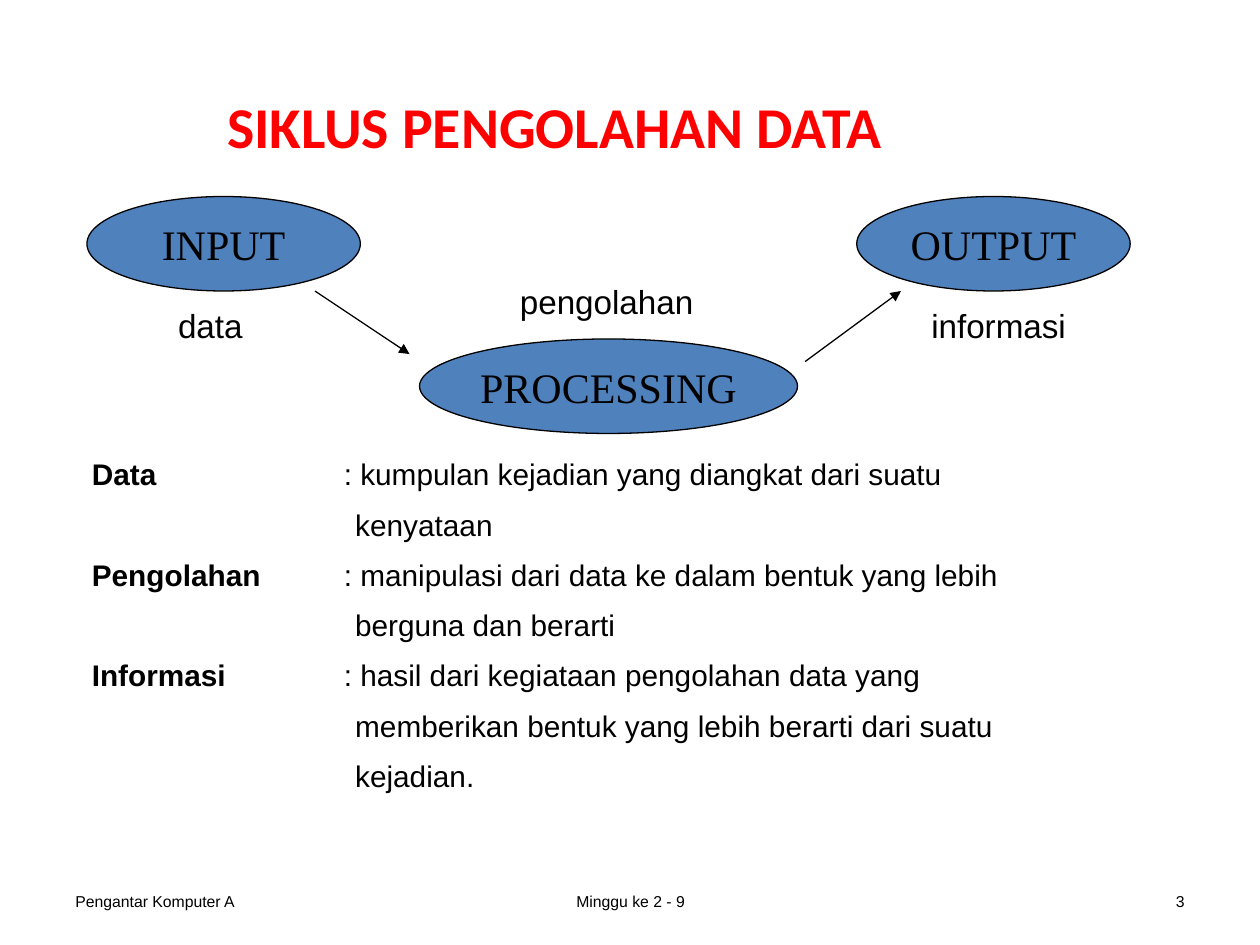
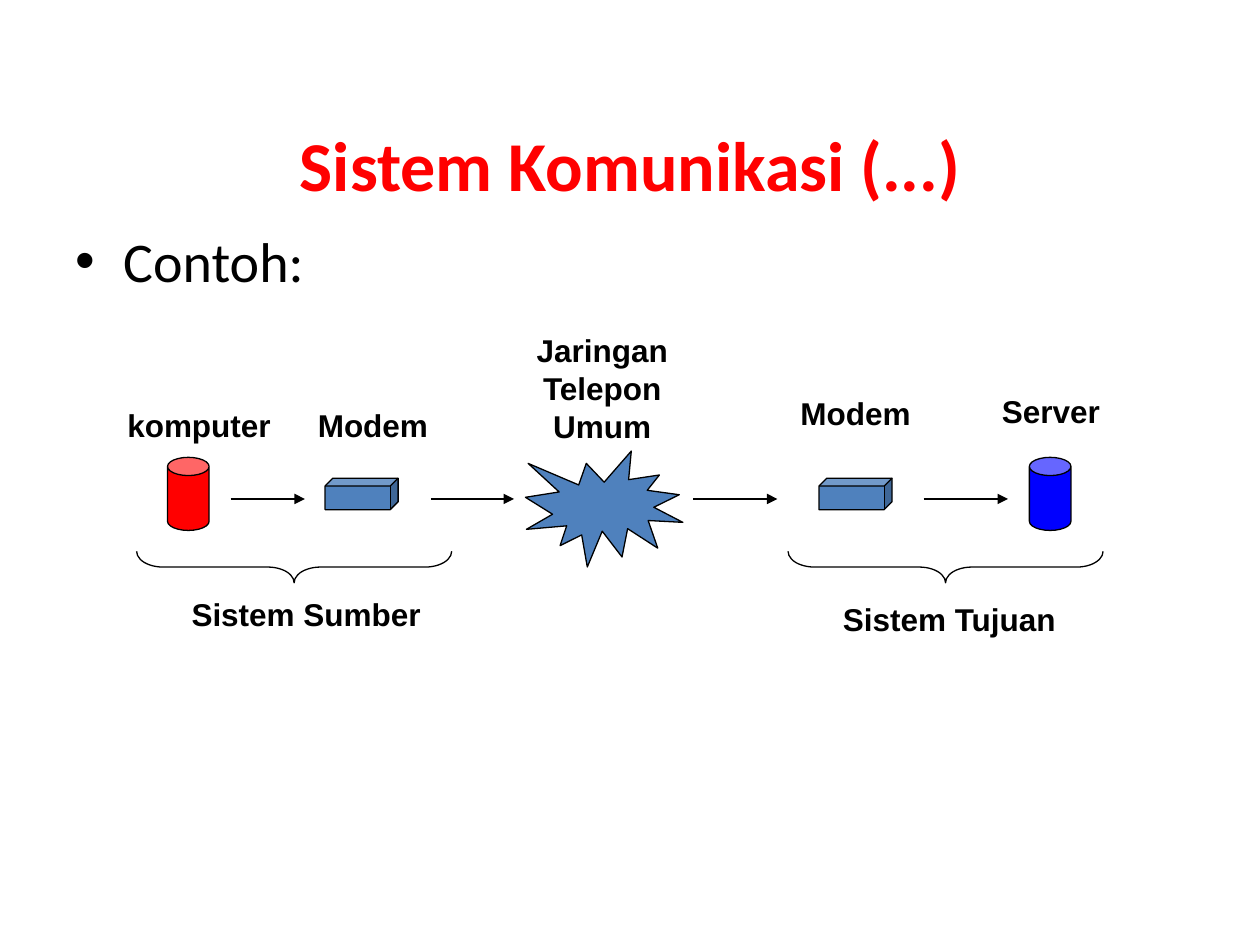
import lxml.etree
import pptx
import pptx.dml.color
import pptx.enum.shapes
import pptx.enum.text
import pptx.oxml.ns
import pptx.util

Inches = pptx.util.Inches
Pt = pptx.util.Pt
qn = pptx.oxml.ns.qn
Shape = pptx.enum.shapes.MSO_SHAPE
Align = pptx.enum.text.PP_ALIGN
Anchor = pptx.enum.text.MSO_ANCHOR

# Shared look
BLACK, RED, BLUE, STEEL = "000000", "FF0000", "0000FF", "4F81BD"
SANS, SERIF, HEADING = "Arial", "Times New Roman", "Calibri"
LINE_WIDTH = 0.75


def colour(hex_value):
    return pptx.dml.color.RGBColor.from_string(hex_value)


def add_run(paragraph, text, size, font=SANS, bold=False, ink=BLACK):
    run = paragraph.add_run()
    run.text = text
    run.font.size = Pt(size)
    run.font.name = font
    run.font.bold = bold
    run.font.color.rgb = colour(ink)


def add_label(slide, box, lines, size, align=Align.CENTER, anchor=Anchor.TOP,
              wrap=False, **style):
    """Text box with one paragraph for each line."""
    frame = slide.shapes.add_textbox(*map(Inches, box)).text_frame
    frame.word_wrap = wrap
    frame.vertical_anchor = anchor
    for index, line in enumerate(lines):
        paragraph = frame.add_paragraph() if index else frame.paragraphs[0]
        paragraph.alignment = align
        add_run(paragraph, line, size, **style)
    return frame


def add_figure(slide, kind, box, fill=None, adjustments=()):
    figure = slide.shapes.add_shape(kind, *map(Inches, box))
    figure.shadow.inherit = False
    if fill:
        figure.fill.solid()
        figure.fill.fore_color.rgb = colour(fill)
    else:
        figure.fill.background()
    figure.line.color.rgb = colour(BLACK)
    figure.line.width = Pt(LINE_WIDTH)
    for index, value in enumerate(adjustments):
        figure.adjustments[index] = value
    return figure


def add_arrow(slide, x1, y1, x2, y2):
    arrow = slide.shapes.add_connector(
        pptx.enum.shapes.MSO_CONNECTOR.STRAIGHT, *map(Inches, (x1, y1, x2, y2)))
    arrow.line.color.rgb = colour(BLACK)
    arrow.line.width = Pt(LINE_WIDTH)
    lxml.etree.SubElement(arrow.line._get_or_add_ln(), qn("a:tailEnd"), type="triangle")
    lxml.etree.SubElement(arrow._element.spPr, qn("a:effectLst"))


def add_titled_slide(deck, title, box, size):
    slide = deck.slides.add_slide(deck.slide_layouts[5])
    holder = slide.shapes.title
    holder.left, holder.top, holder.width, holder.height = map(Inches, box)
    frame = holder.text_frame
    frame.auto_size = pptx.enum.text.MSO_AUTO_SIZE.NONE
    frame.vertical_anchor = Anchor.MIDDLE
    paragraph = frame.paragraphs[0]
    paragraph.alignment = Align.CENTER
    add_run(paragraph, title, size, HEADING, True, RED)
    return slide


def add_footer(slide, course, week, number):
    for text, left, width, align in (
            (course, 0.5, 2.33, Align.LEFT),
            (week, 3.42, 3.17, Align.CENTER),
            (number, 7.17, 2.33, Align.RIGHT)):
        add_label(slide, (left, 6.95, width, 0.4), [text], 9, align,
                  Anchor.MIDDLE, wrap=True)


# Slide 1: the processing cycle and its definitions
def add_cycle(slide, left, top):
    stage_height = 0.75
    stages = (
        # stage, x, y, width, caption, caption x, caption y, caption width
        ("INPUT", 0, 0, 2.17, "data", 0.58, 0.81, 0.8),
        ("PROCESSING", 2.64, 1.13, 3, "pengolahan", 3.22, 0.62, 1.81),
        ("OUTPUT", 6.11, 0, 2.17, "informasi", 6.59, 0.81, 1.29),
    )
    for stage, x, y, width, caption, caption_x, caption_y, caption_width in stages:
        oval = add_figure(slide, Shape.OVAL, (left + x, top + y, width, stage_height), STEEL)
        oval.text_frame.word_wrap = False
        oval.text_frame.vertical_anchor = Anchor.MIDDLE
        paragraph = oval.text_frame.paragraphs[0]
        paragraph.alignment = Align.CENTER
        add_run(paragraph, stage, 24, SERIF)
        add_label(slide, (left + caption_x, top + caption_y, caption_width, 0.42),
                  [caption], 19)
    add_arrow(slide, left + 1.81, top + stage_height, left + 2.56, top + 1.25)
    add_arrow(slide, left + 5.7, top + 1.31, left + 6.46, top + stage_height)


def add_definitions(slide, box, definitions):
    colon_at, text_at = Inches(2), Inches(2.09)
    frame = slide.shapes.add_textbox(*map(Inches, box)).text_frame
    frame.word_wrap = True
    rows = [(term if index == 0 else None, line)
            for term, lines in definitions for index, line in enumerate(lines)]
    for index, (term, line) in enumerate(rows):
        paragraph = frame.add_paragraph() if index else frame.paragraphs[0]
        properties = paragraph._p.get_or_add_pPr()
        if term:
            tabs = lxml.etree.SubElement(properties, qn("a:tabLst"))
            lxml.etree.SubElement(tabs, qn("a:tab"), pos=str(colon_at), algn="l")
            add_run(paragraph, term, 17, bold=True)
            line = "\t: " + line
        else:
            properties.set("marL", str(text_at))
        if index:
            paragraph.space_before = Pt(8.3)
        add_run(paragraph, line, 17)


def build_cycle_slide(deck):
    slide = add_titled_slide(deck, "SIKLUS PENGOLAHAN DATA", (0.69, 0.37, 7.42, 1.25), 33)
    add_footer(slide, "Pengantar Komputer A", "Minggu ke 2 - 9", "3")
    add_cycle(slide, 0.69, 1.56)
    add_definitions(slide, (0.63, 3.57, 8.92, 3.38), (
        ("Data", ("kumpulan kejadian yang diangkat dari suatu", "kenyataan")),
        ("Pengolahan", ("manipulasi dari data ke dalam bentuk yang lebih",
                        "berguna dan berarti")),
        ("Informasi", ("hasil dari kegiataan pengolahan data yang",
                       "memberikan bentuk yang lebih berarti dari suatu",
                       "kejadian.")),
    ))


# Slide 2: the communication system
def add_example_bullet(slide, box):
    frame = add_label(slide, box, ["Contoh:"], 32, Align.LEFT, wrap=True, font=HEADING)
    properties = frame.paragraphs[0]._p.get_or_add_pPr()
    properties.set("marL", str(Inches(0.38)))
    properties.set("indent", str(-Inches(0.38)))
    lxml.etree.SubElement(properties, qn("a:buFont"), typeface=SANS)
    lxml.etree.SubElement(properties, qn("a:buChar"), char="•")


def add_network(slide, left, top):
    # Devices: x of each, all on one axis
    axis = top + 1.38
    can = (Shape.CAN, 0.33, 0.58, (0.438,))
    modem = (Shape.CUBE, 0.58, 0.25, (0.25,))
    for (kind, width, height, adjustments), x, fill in (
            (can, 0.42, RED),
            (can, 7.26, BLUE),
            (modem, 1.67, STEEL),
            (modem, 5.59, STEEL)):
        add_figure(slide, kind, (left + x, axis - 0.04 - height / 2, width, height),
                   fill, adjustments)
    for start, end in ((0.92, 1.51), (2.51, 3.17), (4.59, 5.26), (6.42, 7.09)):
        add_arrow(slide, left + start, axis, left + end, axis)

    # Names of the parts
    for lines, x, y, width in (
            (["komputer"], 0, 0.59, 1.34),
            (["Modem"], 1.51, 0.59, 1.08),
            (["Jaringan", "Telepon", "Umum"], 3.25, 0, 1.24),
            (["Modem"], 5.34, 0.5, 1.08),
            (["Server"], 6.94, 0.48, 0.98),
            (["Sistem Sumber"], 0.51, 2.09, 2.02),
            (["Sistem Tujuan"], 5.67, 2.13, 1.91)):
        add_label(slide, (left + x, top + y, width, 0.4 + 0.3 * (len(lines) - 1)),
                  lines, 18, bold=True)

    # Braces under the source and the destination
    for x in (1.3, 6.47):
        brace = add_figure(slide, Shape.LEFT_BRACE, (left + x, top + 0.67, 0.25, 2.5),
                           adjustments=(0.833, 0.5))
        brace.rotation = 270

    # Public telephone network
    add_figure(slide, Shape.EXPLOSION1, (left + 3.26, top + 1, 1.25, 0.92), STEEL)


def build_communication_slide(deck):
    slide = add_titled_slide(deck, "Sistem Komunikasi (...)", (0.5, 0.67, 9, 1.25), 40)
    add_example_bullet(slide, (0.5, 1.75, 9, 0.92))
    add_network(slide, 0.91, 2.58)


def main():
    deck = pptx.Presentation()
    deck.slide_width, deck.slide_height = Inches(10), Inches(7.5)
    build_cycle_slide(deck)
    build_communication_slide(deck)
    deck.save("out.pptx")


if __name__ == "__main__":
    main()
